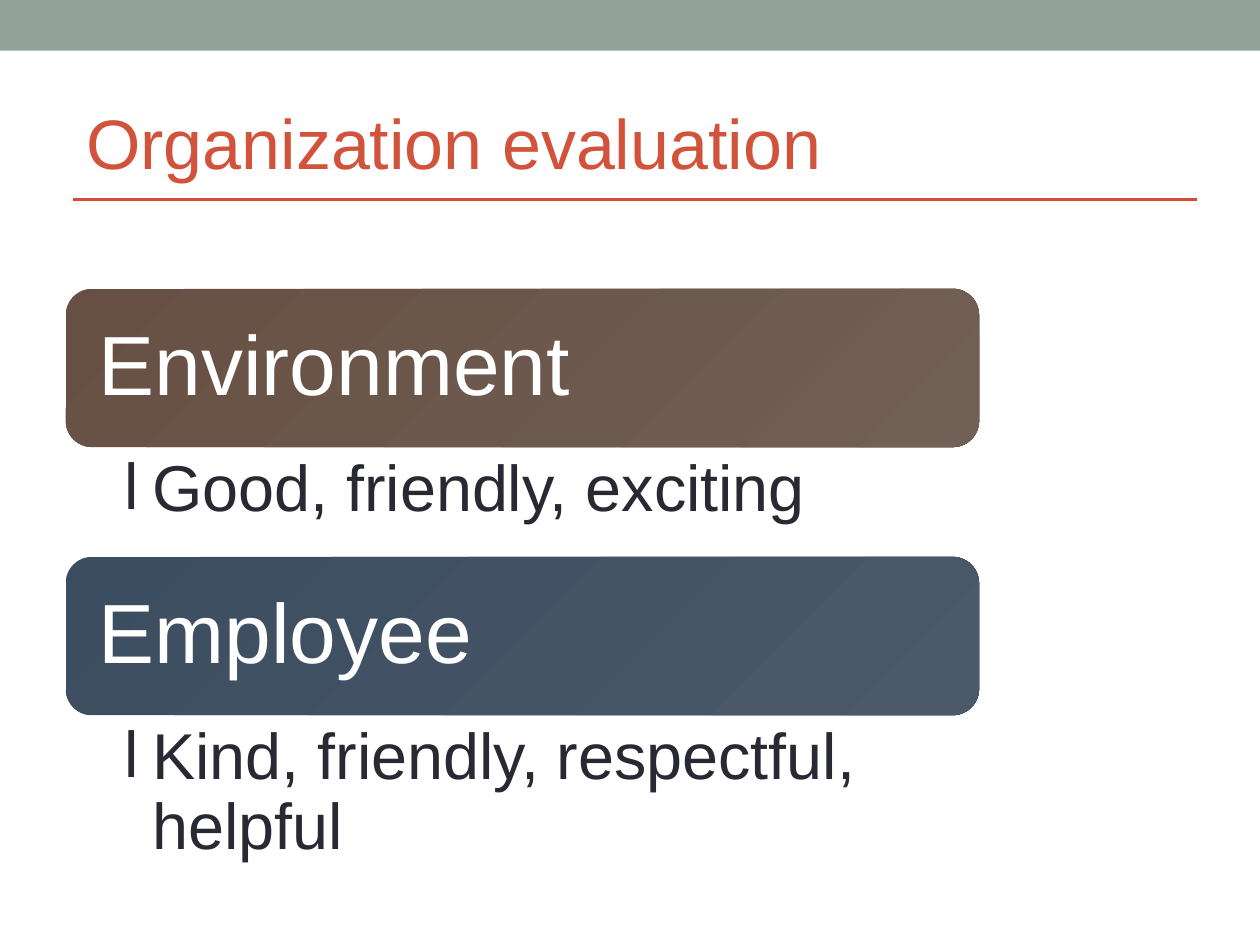
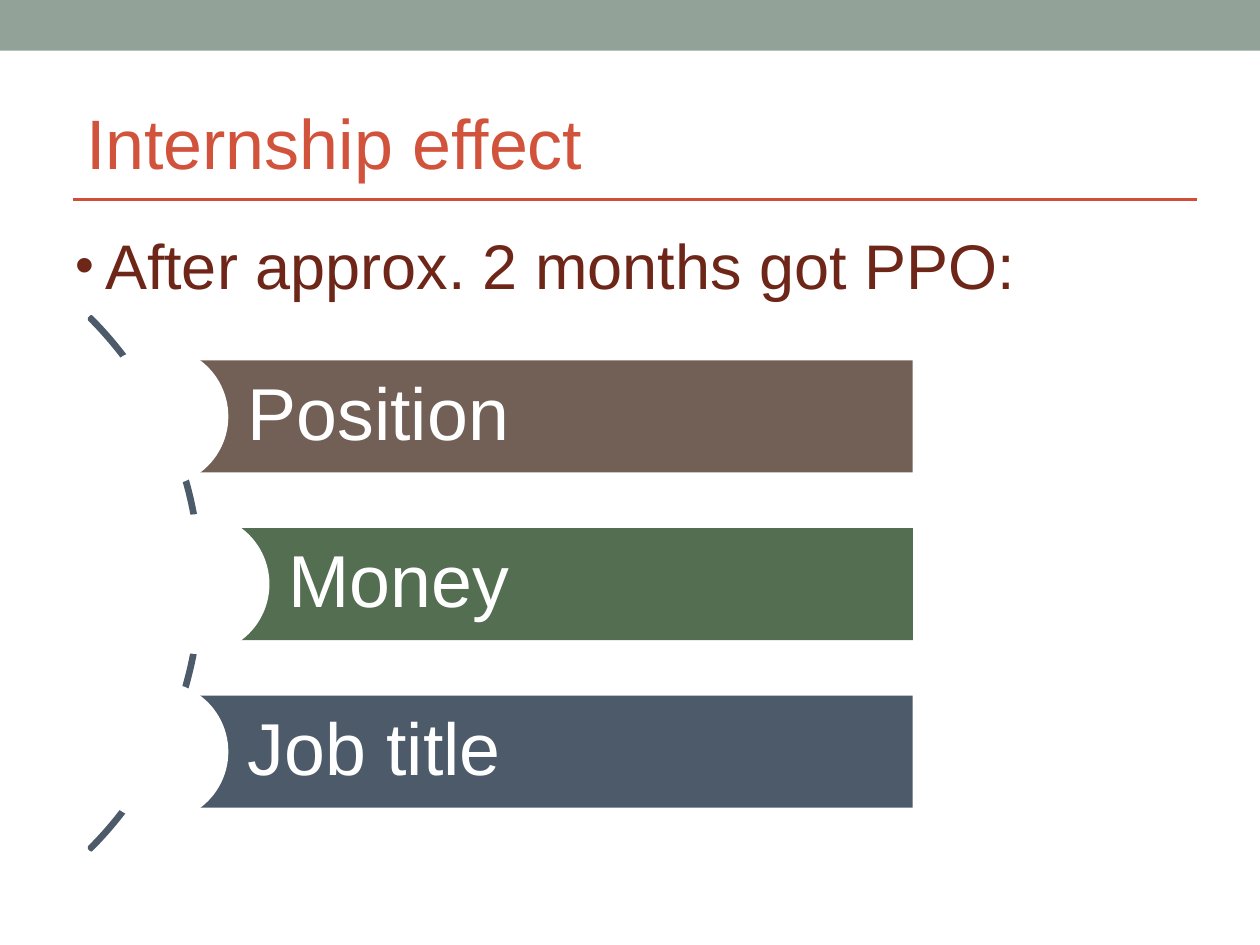
from lxml import etree
from pptx import Presentation
from pptx.dml.color import RGBColor
from pptx.enum import shapes, text
from pptx.oxml import ns
from pptx.util import Pt

BAND = RGBColor(0x93, 0xA2, 0x99)
TITLE = RGBColor(0xD2, 0x53, 0x3C)
RULE = RGBColor(0xD1, 0x4D, 0x37)
BODY = RGBColor(0x6E, 0x26, 0x19)
DETAIL = RGBColor(0x29, 0x29, 0x34)
WHITE = RGBColor(0xFF, 0xFF, 0xFF)
BROWN = RGBColor(0x72, 0x60, 0x56)
GREEN = RGBColor(0x53, 0x6E, 0x51)
SLATE = RGBColor(0x4C, 0x5A, 0x6A)
BROWN_BLEND = (RGBColor(0x67, 0x50, 0x43), RGBColor(0x71, 0x60, 0x55))
SLATE_BLEND = (RGBColor(0x3B, 0x4D, 0x60), RGBColor(0x4B, 0x59, 0x69))

FONT = "Arial"
SHAPE = shapes.MSO_SHAPE
TOP, MIDDLE = text.MSO_ANCHOR.TOP, text.MSO_ANCHOR.MIDDLE


class Deck:
    """Holds the shared style and the current slide."""

    def __init__(self):
        self.prs = Presentation()
        self.prs.slide_width, self.prs.slide_height = Pt(720), Pt(540)
        self.slide = None

    def new_slide(self, heading):
        self.slide = self.prs.slides.add_slide(self.prs.slide_layouts[5])
        self.shape(SHAPE.RECTANGLE, (0, 0, 720, 29), BAND)
        title = self.slide.shapes.title
        title.left, title.top, title.width, title.height = map(Pt, (42, 42, 648, 78))
        self.set_text(title, heading, 40, TITLE, (7.2, 3.6, 7.2, 3.6), MIDDLE)
        self.rule(42, 684, 114)

    def rule(self, left, right, y):
        line = self.slide.shapes.add_connector(
            shapes.MSO_CONNECTOR.STRAIGHT, Pt(left), Pt(y), Pt(right), Pt(y))
        line.line.color.rgb, line.line.width = RULE, Pt(1.5)
        etree.SubElement(line._element.spPr, ns.qn("a:effectLst"))

    def shape(self, kind, box, fill=None):
        """Add a shape; a pair of colours as fill makes a diagonal blend."""
        item = self.slide.shapes.add_shape(kind, *map(Pt, box))
        item.shadow.inherit = False
        item.line.fill.background()
        if fill is None:
            item.fill.background()
        elif isinstance(fill, RGBColor):
            item.fill.solid()
            item.fill.fore_color.rgb = fill
        else:
            item.fill.gradient()
            item.fill.gradient_angle = 315
            for stop, color in zip(item.fill.gradient_stops, fill):
                stop.color.rgb = color
        return item

    def arc(self, box, color):
        item = self.shape(SHAPE.BLOCK_ARC, box)
        item.line.color.rgb, item.line.width = color, Pt(2.07)
        for i, value in enumerate((189, 27, 0.004)):
            item.adjustments[i] = value

    def set_text(self, item, words, size, color, insets, anchor, spacing=None, bullet=None):
        frame = item.text_frame
        frame.word_wrap, frame.auto_size = True, text.MSO_AUTO_SIZE.NONE
        frame.vertical_anchor = anchor
        (frame.margin_left, frame.margin_top,
         frame.margin_right, frame.margin_bottom) = map(Pt, insets)
        para = frame.paragraphs[0]
        para.alignment = text.PP_ALIGN.LEFT
        if spacing:
            para.line_spacing = spacing
        if bullet:
            self.add_bullet(para, *bullet)
        run = para.add_run()
        run.text = words
        run.font.name, run.font.size, run.font.color.rgb = FONT, Pt(size), color

    def add_bullet(self, para, mark, scale, indent, hang):
        props = para._p.get_or_add_pPr()
        props.set("marL", str(Pt(indent)))
        props.set("indent", str(-Pt(hang)))
        for tag, key, value in (("a:buSzPct", "val", str(scale * 1000)),
                                ("a:buFont", "typeface", FONT),
                                ("a:buChar", "char", mark)):
            etree.SubElement(props, ns.qn(tag)).set(key, value)

    def bullet_text(self, box, words, size, color, insets, bullet, spacing=None):
        item = self.slide.shapes.add_textbox(*map(Pt, box))
        self.set_text(item, words, size, color, insets, TOP, spacing, bullet)


def evaluation_slide(deck):
    deck.new_slide("Organization evaluation")
    topics = (("Environment", "Good, friendly, exciting", BROWN_BLEND),
              ("Employee", "Kind, friendly, respectful, helpful", SLATE_BLEND))
    left, width, header_height, detail_height = 37.5, 522, 90.5, 62.7
    for i, (topic, detail, blend) in enumerate(topics):
        top = 165 + i * (header_height + detail_height)
        header = deck.shape(SHAPE.ROUNDED_RECTANGLE, (left, top, width, header_height), blend)
        deck.set_text(header, topic, 48, WHITE, (14.4, 18.7, 14.4, 18.7), MIDDLE, 0.9)
        deck.bullet_text((left, top + header_height, width, detail_height), detail, 37,
                         DETAIL, (16.6, 5, 26.6, 5), ("l", 100, 33, 16), 0.9)


def effect_slide(deck):
    deck.new_slide("Internship effect")
    deck.bullet_text((36, 126, 648, 384), "After approx. 2 months got PPO:", 36,
                     BODY, (7.2, 3.6, 7.2, 3.6), ("•", 85, 17, 17))
    # Curve with three bars, each notched by a white disc
    deck.arc((-315.4, 118, 430.6, 430.6), SLATE)
    right, bar_height, disc = 521.6, 64, 80
    bars = (("Position", 90.5, BROWN), ("Money", 114, GREEN), ("Job title", 90.5, SLATE))
    for i, (gain, left, color) in enumerate(bars):
        top = 206 + i * 95.8
        bar = deck.shape(SHAPE.RECTANGLE, (left, top, right - left, bar_height), color)
        deck.set_text(bar, gain, 42, WHITE, (51, 8.6, 8.6, 8.6), MIDDLE, 0.9)
        deck.shape(SHAPE.OVAL, (left - disc / 2, top + (bar_height - disc) / 2, disc, disc), WHITE)


def main():
    deck = Deck()
    evaluation_slide(deck)
    effect_slide(deck)
    deck.prs.save("out.pptx")


if __name__ == "__main__":
    main()
